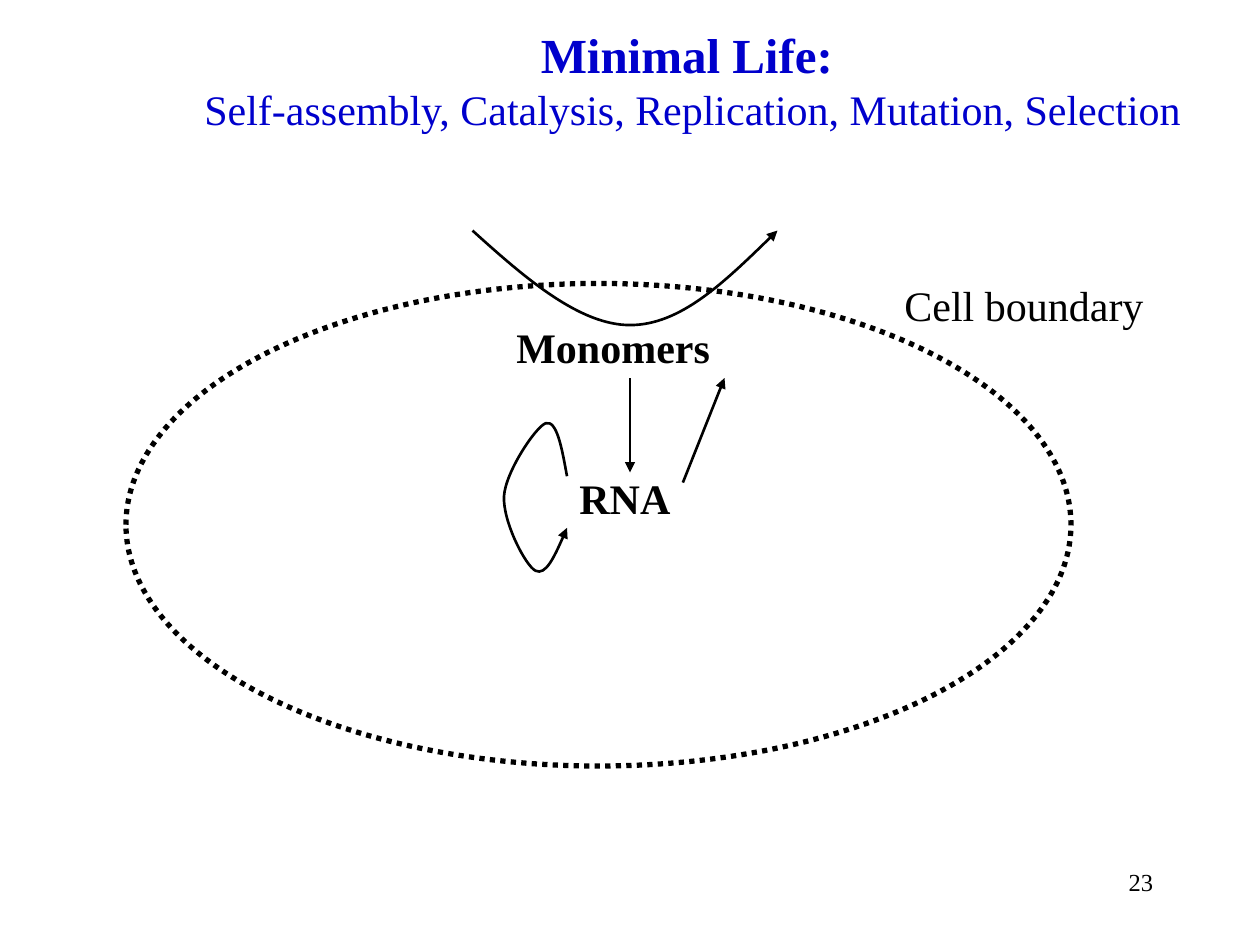
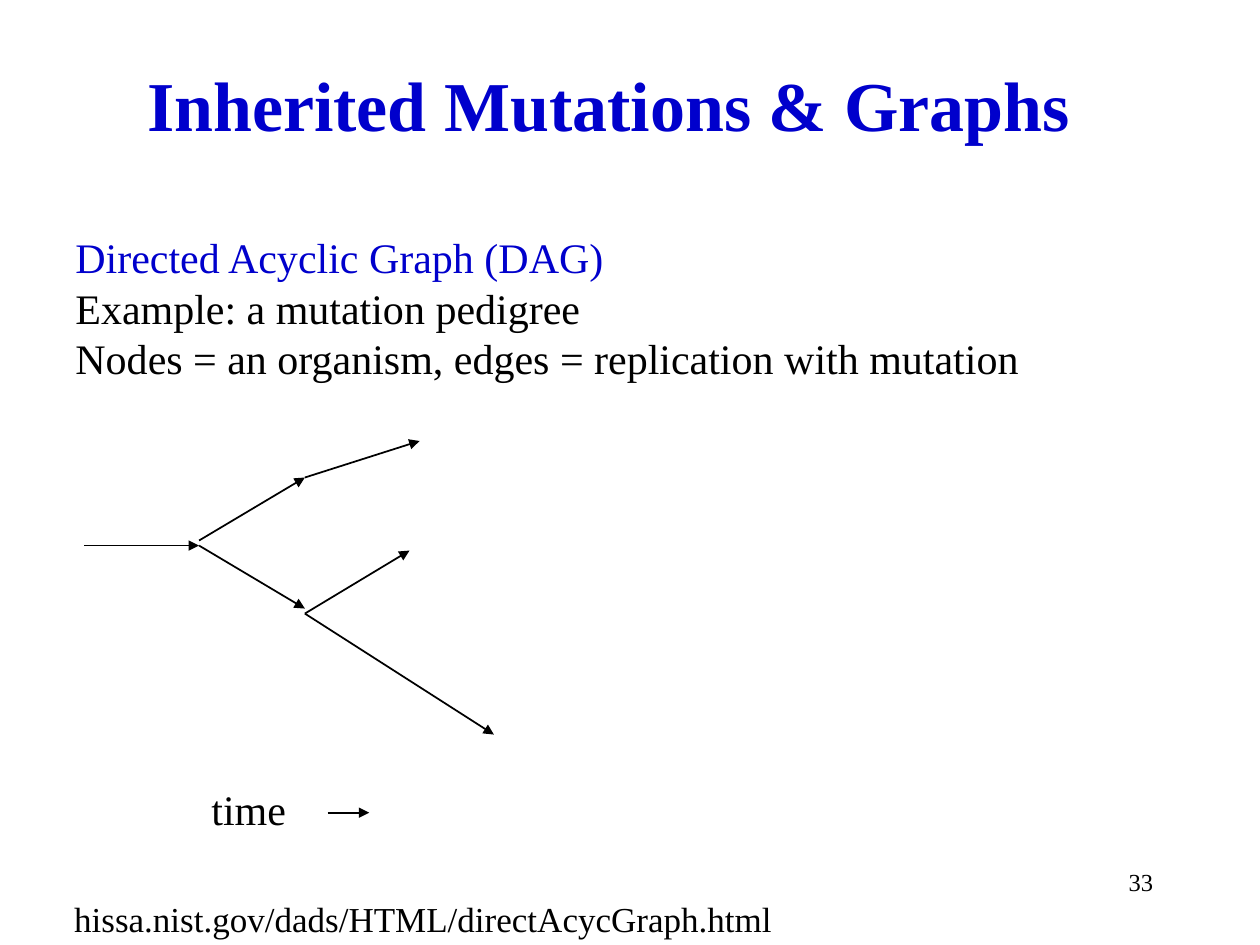
from dataclasses import dataclass

from lxml.etree import SubElement
from pptx import Presentation
from pptx.dml.color import RGBColor
from pptx.enum.dml import MSO_LINE
from pptx.enum.shapes import MSO_CONNECTOR, MSO_SHAPE
from pptx.enum.text import MSO_ANCHOR, MSO_AUTO_SIZE, PP_ALIGN
from pptx.oxml.ns import qn
from pptx.slide import Slide
from pptx.util import Inches, Pt

Point = tuple[float, float]


@dataclass(frozen=True)
class Theme:
    font: str = "Times New Roman"
    ink: RGBColor = RGBColor(0x00, 0x00, 0x00)
    accent: RGBColor = RGBColor(0x00, 0x00, 0xCC)
    background: RGBColor = RGBColor(0xFF, 0xFF, 0xFF)
    title_size: float = 40
    compact_title_size: float = 28
    body_size: float = 24
    address_size: float = 20
    number_size: float = 14
    thin_line: float = 1
    medium_line: float = 1.5
    boundary_line: float = 3


THEME = Theme()


@dataclass(frozen=True)
class Line:
    text: str
    size: float = THEME.body_size
    color: RGBColor = THEME.ink
    bold: bool = False


@dataclass(frozen=True)
class Box:
    left: float
    top: float
    width: float
    height: float = 0.5

    def lengths(self) -> list[int]:
        return [Inches(value) for value in (self.left, self.top, self.width, self.height)]


@dataclass(frozen=True)
class Arrow:
    start: Point
    end: Point


@dataclass(frozen=True)
class Curve:
    start: Point
    controls: tuple[Point, ...]


NUMBER_BOX = Box(7.17, 6.83, 2.08)

CELL_BOUNDARY = Box(1, 2.25, 7.5, 3.83)
CELL_ARROWS = (
    Arrow((5.42, 3.83), (5.75, 3)),
    Arrow((5, 3), (5, 3.75)),
)
CELL_CURVES = (
    Curve((3.75, 1.83), (
        (4.17, 2.21), (4.6, 2.58), (5, 2.58),
        (5.4, 2.58), (5.78, 2.21), (6.17, 1.83),
    )),
    Curve((4.5, 3.78), (
        (4.46, 3.56), (4.42, 3.33), (4.33, 3.36),
        (4.25, 3.39), (4.01, 3.75), (4, 3.94),
        (3.99, 4.14), (4.17, 4.49), (4.25, 4.53),
        (4.33, 4.57), (4.42, 4.38), (4.5, 4.19),
    )),
)

LOWER_NODE = (2.42, 4.87)
UPPER_NODE = (2.42, 3.79)
ROOT_NODE = (1.58, 4.33)
PEDIGREE_ARROWS = (
    Arrow((0.67, 4.33), ROOT_NODE),
    Arrow((1.58, 4.29), UPPER_NODE),
    Arrow(ROOT_NODE, (2.42, 4.83)),
    Arrow(UPPER_NODE, (3.33, 3.5)),
    Arrow(LOWER_NODE, (3.25, 4.37)),
    Arrow(LOWER_NODE, (3.92, 5.83)),
)
TIME_ARROW = Arrow((2.6, 6.45), (2.93, 6.45))


def add_text(slide: Slide, box: Box, *lines: Line, align: PP_ALIGN = PP_ALIGN.LEFT,
             anchor: MSO_ANCHOR = MSO_ANCHOR.TOP, wrap: bool = False) -> None:
    frame = slide.shapes.add_textbox(*box.lengths()).text_frame
    frame.word_wrap = wrap
    frame.auto_size = MSO_AUTO_SIZE.NONE if wrap else MSO_AUTO_SIZE.SHAPE_TO_FIT_TEXT
    frame.vertical_anchor = anchor
    for index, line in enumerate(lines):
        paragraph = frame.add_paragraph() if index else frame.paragraphs[0]
        paragraph.alignment = align
        run = paragraph.add_run()
        run.text = line.text
        run.font.name = THEME.font
        run.font.size = Pt(line.size)
        run.font.bold = line.bold
        run.font.color.rgb = line.color


def add_title(slide: Slide, left: float, top: float, *lines: Line) -> None:
    add_text(slide, Box(left, top, 8.5, 1.25), *lines,
             align=PP_ALIGN.CENTER, anchor=MSO_ANCHOR.MIDDLE, wrap=True)


def style_line(shape, width: float, arrowhead: bool = True) -> None:
    shape.line.color.rgb = THEME.ink
    shape.line.width = Pt(width)
    if arrowhead:
        SubElement(shape.line._get_or_add_ln(), qn("a:tailEnd"), type="triangle")


def add_arrow(slide: Slide, arrow: Arrow, width: float) -> None:
    ends = [Inches(value) for value in (*arrow.start, *arrow.end)]
    connector = slide.shapes.add_connector(MSO_CONNECTOR.STRAIGHT, *ends)
    style_line(connector, width)
    SubElement(connector._element.spPr, qn("a:effectLst"))


def add_curve(slide: Slide, curve: Curve) -> None:
    builder = slide.shapes.build_freeform(*map(Inches, curve.start), scale=1.0)
    points = [(Inches(x), Inches(y)) for x, y in curve.controls]
    builder.add_line_segments(points, close=False)
    shape = builder.convert_to_shape()
    outline = shape._element.find(".//" + qn("a:path"))
    segments = outline.findall(qn("a:lnTo"))
    for index in range(0, len(segments), 3):
        bezier = SubElement(outline, qn("a:cubicBezTo"))
        for segment in segments[index:index + 3]:
            bezier.append(segment[0])
            outline.remove(segment)
    shape.shadow.inherit = False
    shape.fill.background()
    style_line(shape, THEME.medium_line)


def add_boundary(slide: Slide, box: Box) -> None:
    ellipse = slide.shapes.add_shape(MSO_SHAPE.OVAL, *box.lengths())
    ellipse.shadow.inherit = False
    ellipse.fill.background()
    style_line(ellipse, THEME.boundary_line, arrowhead=False)
    ellipse.line.dash_style = MSO_LINE.ROUND_DOT


def add_numbered_slide(presentation, number: int) -> Slide:
    slide = presentation.slides.add_slide(presentation.slide_layouts[6])
    slide.background.fill.solid()
    slide.background.fill.fore_color.rgb = THEME.background
    add_text(slide, NUMBER_BOX, Line(str(number), THEME.number_size),
             align=PP_ALIGN.RIGHT, wrap=True)
    return slide


def build_minimal_life(presentation) -> None:
    slide = add_numbered_slide(presentation, 23)
    add_title(
        slide, 1.25, 0,
        Line("Minimal Life: ", THEME.compact_title_size, THEME.accent, True),
        Line("Self-assembly, Catalysis, Replication, Mutation, Selection", color=THEME.accent),
    )
    add_boundary(slide, CELL_BOUNDARY)
    add_text(slide, Box(4, 2.5, 1.76), Line("Monomers", bold=True))
    add_text(slide, Box(4.5, 3.7, 0.94), Line("RNA", bold=True))
    add_text(slide, Box(7.08, 2.17, 2.12), Line("Cell boundary"))
    for arrow in CELL_ARROWS:
        add_arrow(slide, arrow, THEME.medium_line)
    for curve in CELL_CURVES:
        add_curve(slide, curve)


def build_inherited_mutations(presentation) -> None:
    slide = add_numbered_slide(presentation, 33)
    add_title(slide, 0.58, 0.2,
              Line("Inherited Mutations & Graphs", THEME.title_size, THEME.accent, True))
    add_text(
        slide, Box(0.5, 1.79, 7.69, 1.3),
        Line("Directed Acyclic Graph (DAG)", color=THEME.accent),
        Line("Example: a mutation pedigree"),
        Line("Nodes = an organism, edges = replication with mutation"),
    )
    for arrow in (*PEDIGREE_ARROWS, TIME_ARROW):
        add_arrow(slide, arrow, THEME.thin_line)
    add_text(slide, Box(1.58, 6.17, 0.81), Line("time"))
    add_text(slide, Box(0.49, 7.07, 5.81, 0.44),
             Line("hissa.nist.gov/dads/HTML/directAcycGraph.html", THEME.address_size))


def main() -> None:
    presentation = Presentation()
    presentation.slide_width = Inches(10)
    presentation.slide_height = Inches(7.5)
    build_minimal_life(presentation)
    build_inherited_mutations(presentation)
    presentation.save("out.pptx")


if __name__ == "__main__":
    main()
